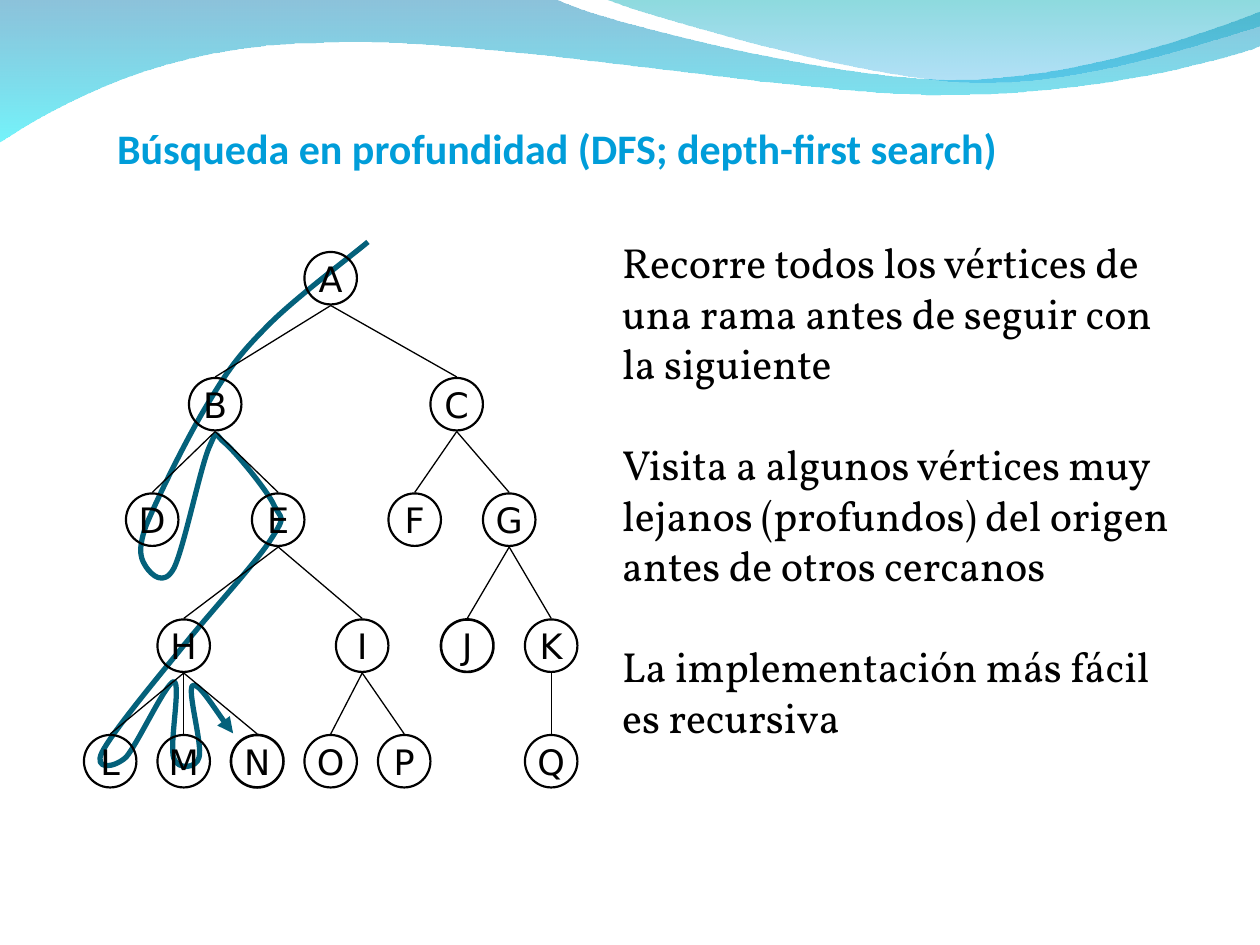
from lxml.etree import SubElement
from pptx import Presentation
from pptx.dml.color import RGBColor
from pptx.enum.shapes import MSO_CONNECTOR, MSO_SHAPE
from pptx.enum.text import MSO_ANCHOR, PP_ALIGN
from pptx.oxml.ns import qn
from pptx.util import Inches, Pt

COLORS = {
    "title": "009DD9", "text": "000000", "route": "04617B",
    "wave top": "0079AF", "wave bottom": "00EBF8",
    "crest top": "00ADB6", "crest bottom": "009BE5",
}

presentation = Presentation()
presentation.slide_width = Inches(10)
presentation.slide_height = Inches(7.5)
slide = presentation.slides.add_slide(presentation.slide_layouts[5])
UNIT = presentation.slide_width / 120  # grid step for the tree


def add_curve(start, segments, closed):
    """Draw an outline; six numbers are a Bézier segment, two a straight one."""
    points = [(Inches(x), Inches(y)) for segment in segments
              for x, y in zip(segment[::2], segment[1::2])]
    builder = slide.shapes.build_freeform(Inches(start[0]), Inches(start[1]))
    builder.add_line_segments(points, close=closed)
    shape = builder.convert_to_shape()
    shape.shadow.inherit = False
    # Join each run of three points into one Bézier segment
    lines = iter(list(shape._element.iter(qn("a:lnTo"))))
    for segment in segments:
        line = next(lines)
        if len(segment) == 6:
            line.tag = qn("a:cubicBezTo")
            for extra in (next(lines), next(lines)):
                line.append(extra[0])
                extra.getparent().remove(extra)
    return shape


def add_text(paragraph, text, font, size, color, bold=False):
    run = paragraph.add_run()
    run.text = text
    run.font.name = font
    run.font.size = Pt(size)
    run.font.bold = bold
    run.font.color.rgb = RGBColor.from_string(COLORS[color])


# Waves along the top: name, start, segments, opacity of both gradient ends
waves = [
    ("wave", (0, -0.01), [
        (4.4, -0.01), (4.76, 0.17, 6.64, 0.63, 7.58, 0.63), (8.53, 0.63, 9.58, 0.26, 10, 0.09),
        (10.01, 0.36), (9.83, 0.44, 8.7, 0.76, 7.46, 0.75), (6.22, 0.75, 3.82, 0.28, 2.57, 0.34),
        (1.29, 0.35, 0.46, 0.83, -0.01, 1.13), (0, -0.01)], (45, 55)),
    ("crest", (4.79, -0.01), [
        (5.09, 0.11, 6.82, 0.62, 7.69, 0.65), (8.56, 0.69, 9.61, 0.32, 10, 0.21),
        (10, 0), (4.79, -0.01)], (45, 30)),
]
for name, start, segments, opacities in waves:
    wave = add_curve(start, segments, closed=True)
    wave.line.fill.background()
    wave.fill.gradient()
    wave.fill.gradient_angle = 270
    for stop, end in zip(wave.fill.gradient_stops, ("top", "bottom")):
        stop.color.rgb = RGBColor.from_string(COLORS[f"{name} {end}"])
    for color, opacity in zip(wave._element.spPr.iter(qn("a:srgbClr")), opacities):
        SubElement(color, qn("a:alpha")).set("val", str(opacity * 1000))

# Title
title = slide.shapes.title
title.left, title.top, title.width, title.height = (
    Inches(length) for length in (0.83, 0.92, 8.34, 0.9))
title.text_frame.vertical_anchor = MSO_ANCHOR.TOP
title.text_frame.paragraphs[0].alignment = PP_ALIGN.LEFT
add_text(title.text_frame.paragraphs[0],
         "Búsqueda en profundidad (DFS; depth-first search)", "Calibri", 24, "title", True)

# Explanation
statements = [
    "Recorre todos los vértices de una rama antes de seguir con la siguiente",
    "Visita a algunos vértices muy lejanos (profundos) del origen antes de otros cercanos",
    "La implementación más fácil es recursiva",
]
explanation = slide.shapes.add_textbox(Inches(4.84), Inches(1.83), Inches(4.73), Inches(4.5))
explanation.text_frame.word_wrap = True
for index, statement in enumerate(statements):
    frame = explanation.text_frame
    paragraph = frame.add_paragraph() if index else frame.paragraphs[0]
    if index:
        paragraph.space_before = Pt(29)
    add_text(paragraph, statement, "Vollkorn", 24, "text")

# Search route
route = add_curve((2.92, 1.92), [
    (2.79, 2.03, 2.35, 2.36, 2.14, 2.57), (1.93, 2.78, 1.83, 2.9, 1.67, 3.17),
    (1.5, 3.44, 1.25, 3.95, 1.16, 4.17), (1.08, 4.39, 1.13, 4.45, 1.16, 4.5),
    (1.2, 4.56, 1.3, 4.66, 1.38, 4.51), (1.46, 4.35, 1.59, 3.71, 1.66, 3.55),
    (1.73, 3.39, 1.7, 3.45, 1.79, 3.52), (1.88, 3.6, 2.11, 3.88, 2.17, 4),
    (2.23, 4.13, 2.28, 4.08, 2.15, 4.28), (2.03, 4.47, 1.64, 4.89, 1.42, 5.17),
    (1.19, 5.45, 0.88, 5.83, 0.81, 5.97), (0.74, 6.11, 0.9, 6.1, 1, 6.01),
    (1.09, 5.91, 1.32, 5.41, 1.38, 5.41), (1.44, 5.42, 1.34, 5.92, 1.38, 6.02),
    (1.41, 6.11, 1.56, 6.1, 1.58, 6.01), (1.61, 5.91, 1.48, 5.47, 1.53, 5.44),
    (1.57, 5.41, 1.78, 5.74, 1.85, 5.82)], closed=False)
route.fill.background()
route.line.color.rgb = RGBColor.from_string(COLORS["route"])
route.line.width = Pt(3)
SubElement(route.line._get_or_add_ln(), qn("a:tailEnd")).set("type", "triangle")

# Tree vertices: row on the grid, then the column of each vertex
NODE = 5
levels = [
    (24, {"A": 29}),
    (36, {"B": 18, "C": 41}),
    (47, {"D": 12, "E": 24, "F": 37, "G": 46}),
    (59, {"H": 15, "I": 32, "J": 42, "K": 50}),
    (70, {"L": 8, "M": 15, "N": 22, "O": 29, "P": 36, "Q": 50}),
]
tree = slide.shapes.add_group_shape()
places = {}
for row, vertices in levels:
    for letter, column in vertices.items():
        places[letter] = column, row
        vertex = tree.shapes.add_shape(
            MSO_SHAPE.OVAL, *(int(value * UNIT) for value in (column, row, NODE, NODE)))
        vertex.shadow.inherit = False
        vertex.fill.background()
        vertex.line.color.rgb = RGBColor.from_string(COLORS["text"])
        vertex.line.width = Pt(1.5 if letter in "JN" else 1.25)
        vertex.text_frame.word_wrap = False
        vertex.text_frame.vertical_anchor = MSO_ANCHOR.MIDDLE
        paragraph = vertex.text_frame.paragraphs[0]
        paragraph.alignment = PP_ALIGN.CENTER
        add_text(paragraph, letter, "DejaVu Sans", 20, "text")

# Tree edges, from the bottom of a parent to the top of its children
children = {"A": "BC", "B": "DE", "C": "FG", "E": "HI", "G": "JK",
            "H": "LMN", "I": "OP", "K": "Q"}
for parent, letters in children.items():
    for child in letters:
        (x1, y1), (x2, y2) = places[parent], places[child]
        ends = x1 + NODE / 2, y1 + NODE + 0.1, x2 + NODE / 2, y2 - 0.1
        edge = tree.shapes.add_connector(
            MSO_CONNECTOR.STRAIGHT, *(int(value * UNIT) for value in ends))
        edge.line.color.rgb = RGBColor.from_string(COLORS["text"])
        edge.line.width = Pt(0.75)
        SubElement(edge._element.spPr, qn("a:effectLst"))

presentation.save("out.pptx")
